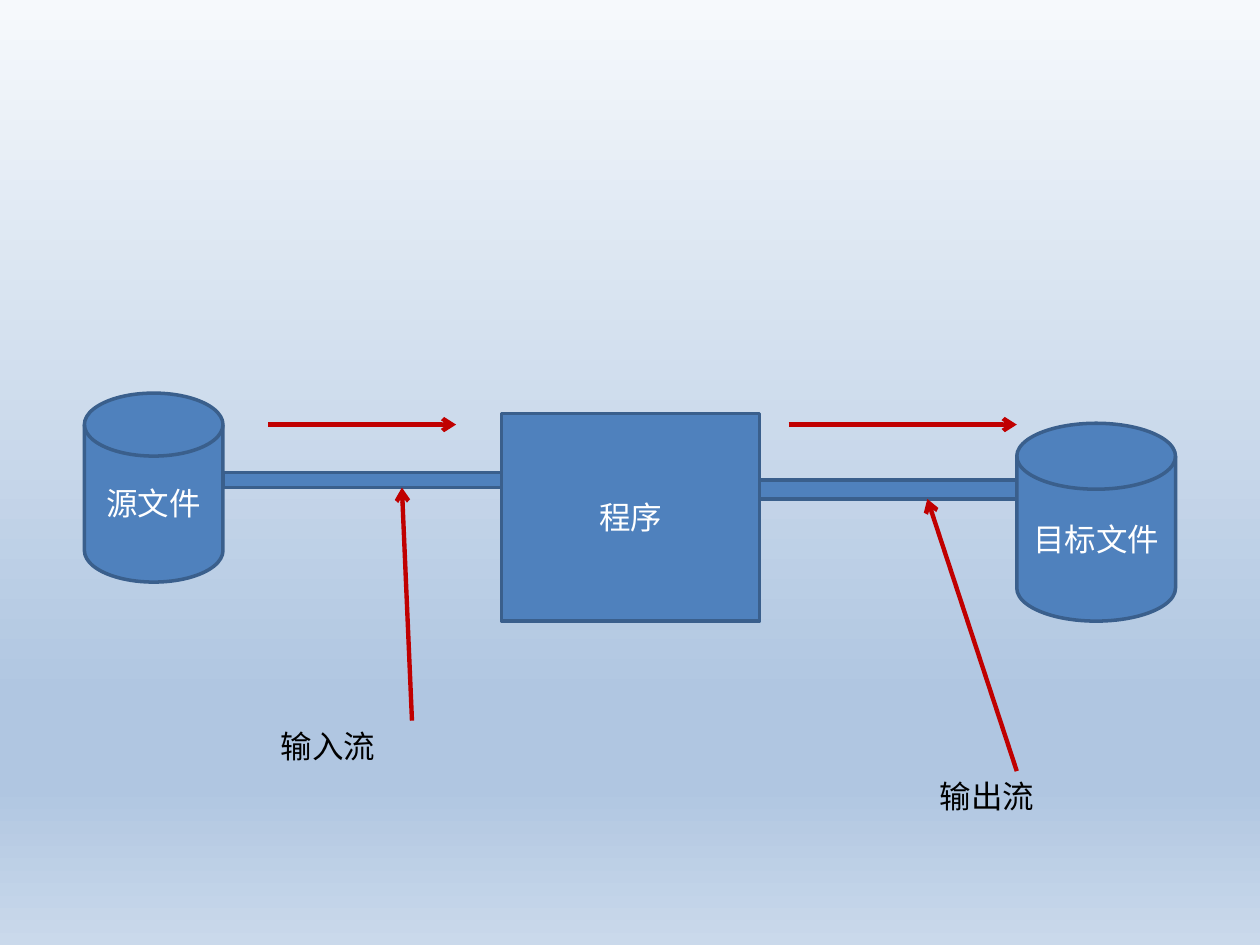
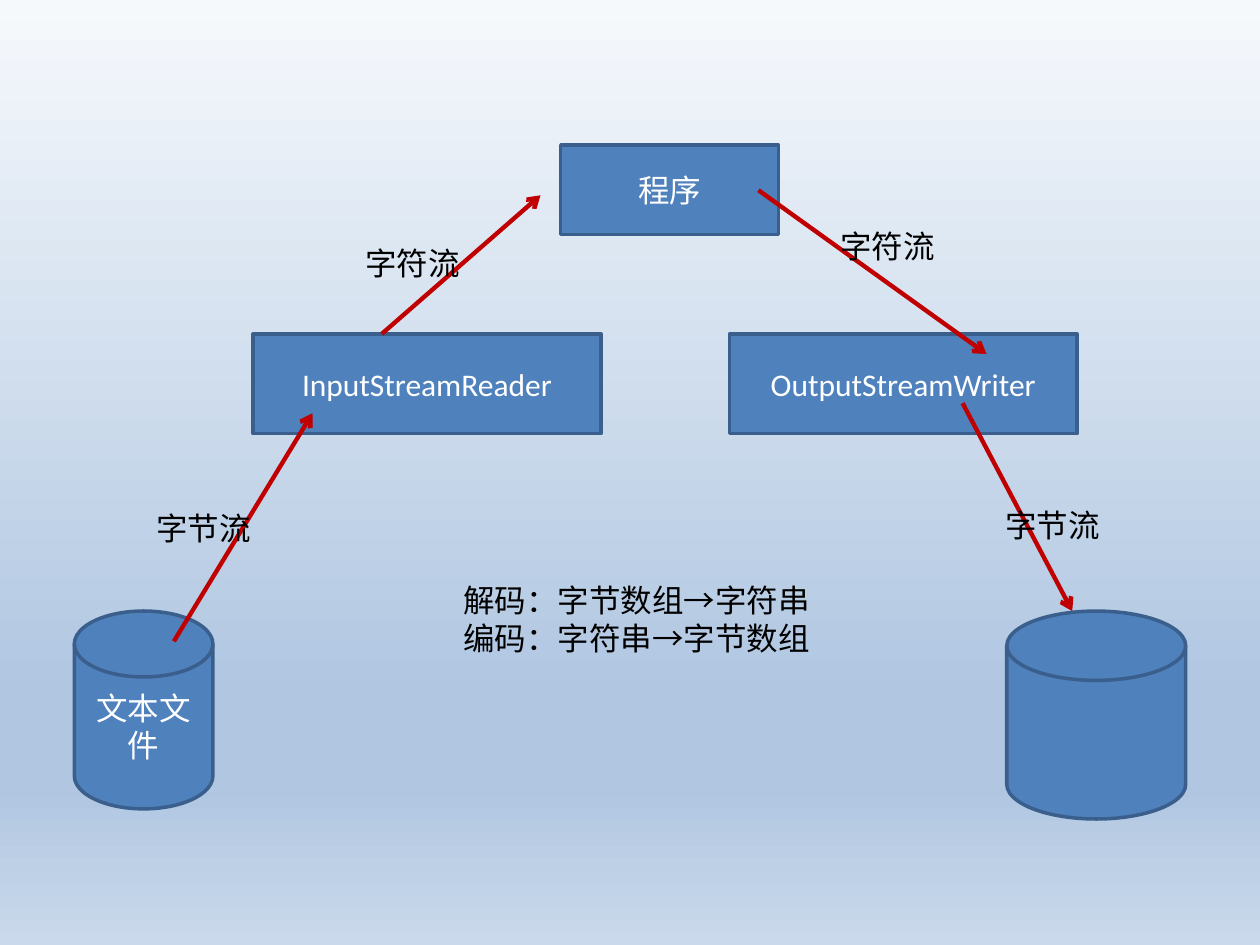
from lxml.etree import SubElement
from pptx import Presentation
from pptx.dml.color import RGBColor
from pptx.enum.shapes import MSO_CONNECTOR, MSO_SHAPE
from pptx.enum.text import MSO_ANCHOR, MSO_AUTO_SIZE, PP_ALIGN
from pptx.oxml.ns import qn
from pptx.util import Inches, Pt

BLUE = RGBColor(0x4F, 0x81, 0xBD)
OUTLINE = RGBColor(0x3A, 0x5F, 0x8C)
RED = RGBColor(0xC0, 0x00, 0x00)
WHITE = RGBColor(0xFF, 0xFF, 0xFF)
BLACK = RGBColor(0x00, 0x00, 0x00)
SKY = [
    (0, RGBColor(0xF6, 0xF9, 0xFC)),
    (74, RGBColor(0xB0, 0xC6, 0xE1)),
    (83, RGBColor(0xB0, 0xC6, 0xE1)),
    (100, RGBColor(0xCA, 0xD9, 0xEB)),
]
FONT = "Calibri"
BLANK_LAYOUT = 6


def write(frame, text, color=BLACK, size=18, align=PP_ALIGN.LEFT, anchor=MSO_ANCHOR.TOP):
    frame.word_wrap = True
    frame.vertical_anchor = anchor
    for index, line in enumerate(text.split("\n")):
        paragraph = frame.add_paragraph() if index else frame.paragraphs[0]
        paragraph.alignment = align
        run = paragraph.add_run()
        run.text = line
        run.font.name = FONT
        run.font.size = Pt(size)
        run.font.color.rgb = color


class FlowDeck:
    def __init__(self):
        self.deck = Presentation()
        self.deck.slide_width = Inches(10)
        self.deck.slide_height = Inches(7.5)
        self.slide = None
        self.paint_background()

    def paint_background(self):
        master = self.deck.slide_master
        sky = master.background.fill
        sky.gradient()
        sky.gradient_angle = 270
        stops = master.element.find(".//" + qn("a:gsLst"))
        for stop in list(stops):
            stops.remove(stop)
        for percent, color in SKY:
            stop = SubElement(stops, qn("a:gs"), pos=str(percent * 1000))
            SubElement(stop, qn("a:srgbClr"), val=str(color))

    def new_slide(self):
        self.slide = self.deck.slides.add_slide(self.deck.slide_layouts[BLANK_LAYOUT])

    def block(self, kind, left, top, width, height, text=""):
        block = self.slide.shapes.add_shape(
            kind, Inches(left), Inches(top), Inches(width), Inches(height))
        block.shadow.inherit = False
        block.fill.solid()
        block.fill.fore_color.rgb = BLUE
        block.line.color.rgb = OUTLINE
        block.line.width = Pt(2)
        if text:
            write(block.text_frame, text, color=WHITE,
                  align=PP_ALIGN.CENTER, anchor=MSO_ANCHOR.MIDDLE)

    def box(self, *place, text=""):
        self.block(MSO_SHAPE.RECTANGLE, *place, text=text)

    def disk(self, *place, text=""):
        self.block(MSO_SHAPE.FLOWCHART_MAGNETIC_DISK, *place, text=text)

    def label(self, left, top, width, text, height=0.4):
        label = self.slide.shapes.add_textbox(
            Inches(left), Inches(top), Inches(width), Inches(height))
        write(label.text_frame, text)
        label.text_frame.auto_size = MSO_AUTO_SIZE.SHAPE_TO_FIT_TEXT

    def arrow(self, start, end):
        arrow = self.slide.shapes.add_connector(
            MSO_CONNECTOR.STRAIGHT, *(Inches(value) for value in (*start, *end)))
        arrow.line.color.rgb = RED
        arrow.line.width = Pt(2.5)
        SubElement(arrow.line._get_or_add_ln(), qn("a:tailEnd"), type="arrow")
        SubElement(arrow.element.spPr, qn("a:effectLst"))

    def save(self):
        self.deck.save("out.pptx")


def draw_file_streams(deck):
    deck.new_slide()
    source_right, program_left, program_right, target_left = 1.77, 3.98, 6.03, 8.07
    program_top, files_bottom, flow_y = 3.28, 4.93, 3.37

    deck.disk(0.67, 3.12, source_right - 0.67, 1.5, text="源文件")
    deck.box(program_left, program_top, program_right - program_left,
             files_bottom - program_top, text="程序")
    deck.disk(target_left, 3.36, 1.26, files_bottom - 3.36, text="目标文件")

    deck.box(source_right, 3.75, program_left - source_right, 0.12)
    deck.arrow((2.13, flow_y), (3.62, flow_y))
    deck.arrow((3.27, 5.72), (3.19, 3.87))
    deck.label(2.13, 5.72, 2.32, "输入流")

    deck.box(program_right, 3.81, target_left - program_right, 0.15)
    deck.arrow((6.26, flow_y), (target_left, flow_y))
    deck.arrow((target_left, 6.12), (7.36, 3.96))
    deck.label(7.36, 6.12, 2.13, "输出流")


def draw_stream_conversion(deck):
    deck.new_slide()
    files_top, converter_top = 4.85, 2.65

    deck.disk(0.59, files_top, 1.1, 1.57, text="文本文件")
    for left, converter in ((2.01, "InputStreamReader"), (5.79, "OutputStreamWriter")):
        deck.box(left, converter_top, 2.76, 0.79, text=converter)
    deck.box(4.45, 1.15, 1.73, 0.71, text="程序")

    deck.arrow((1.38, 5.09), (2.48, 3.28))
    deck.arrow((3.03, converter_top), (4.29, 1.55))
    deck.arrow((6.02, 1.51), (7.83, 2.81))
    deck.arrow((7.64, 3.2), (8.51, files_top))
    deck.disk(7.99, files_top, 1.42, 1.65)

    for left, top, width, stream in (
        (1.14, 3.99, 1.34, "字节流"),
        (2.8, 1.89, 1.5, "字符流"),
        (6.57, 1.75, 1.65, "字符流"),
        (7.88, 3.97, 1.26, "字节流"),
    ):
        deck.label(left, top, width, stream)
    deck.label(3.58, 4.56, 3.62, "解码：字节数组→字符串\n编码：字符串→字节数组", height=0.71)


def main():
    deck = FlowDeck()
    draw_file_streams(deck)
    draw_stream_conversion(deck)
    deck.save()


if __name__ == "__main__":
    main()
